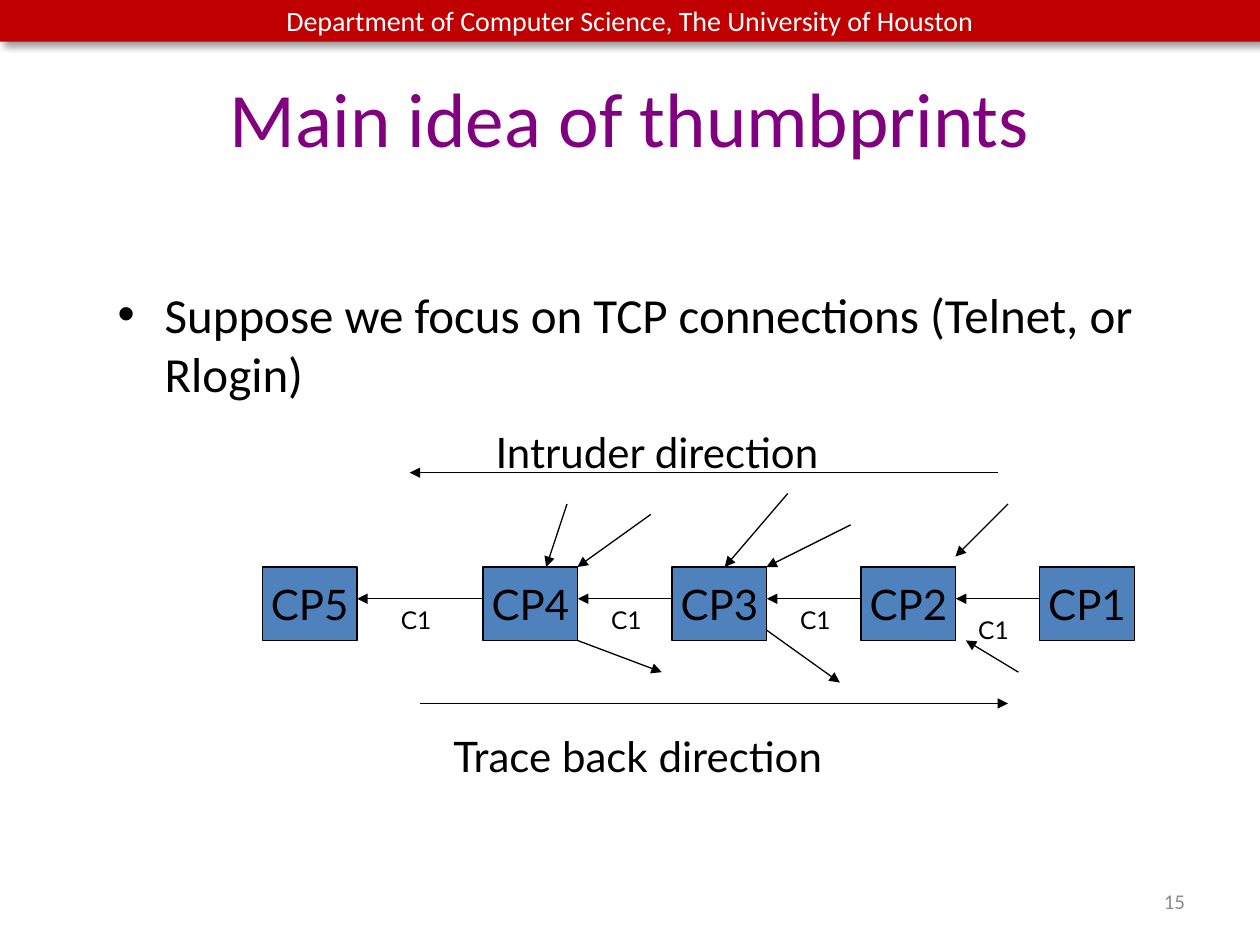
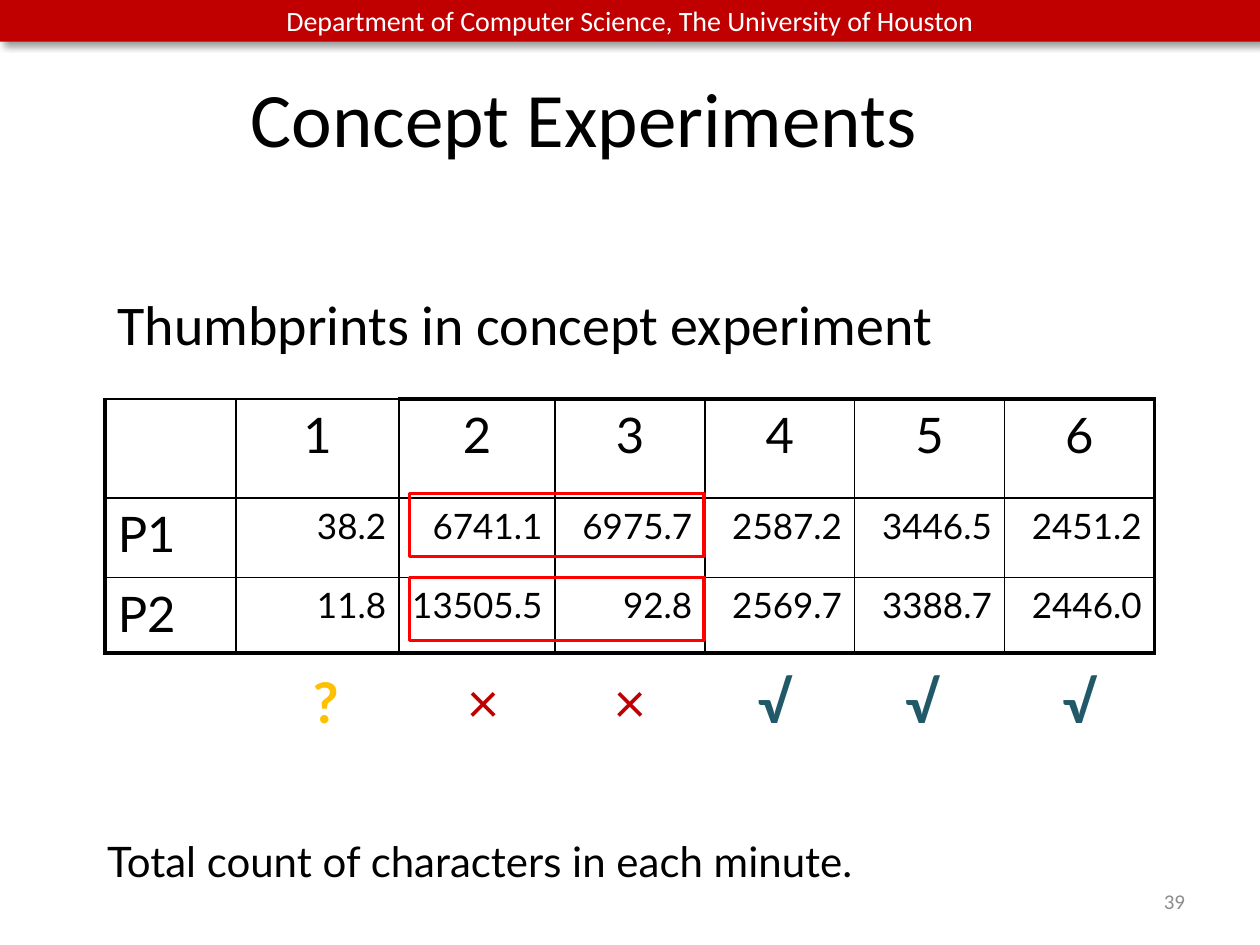
from dataclasses import dataclass
from typing import Optional

from lxml.etree import SubElement
from pptx import Presentation
from pptx.dml.color import RGBColor
from pptx.enum.shapes import MSO_CONNECTOR, MSO_SHAPE
from pptx.enum.text import MSO_ANCHOR, PP_ALIGN
from pptx.oxml.ns import qn
from pptx.shapes.autoshape import Shape
from pptx.slide import Slide
from pptx.table import _Cell as Cell
from pptx.text.text import TextFrame
from pptx.util import Cm, Pt

HUES = {
    "band": "C00000",
    "white": "FFFFFF",
    "black": "000000",
    "purple": "800080",
    "blue": "4F81BD",
    "grey": "8C8C8C",
    "teal": "215968",
    "amber": "FFC000",
    "red": "FF0000",
}
HEAD = "Calibri"
BODY = "Lato"
LEFT, MID, RIGHT = PP_ALIGN.LEFT, PP_ALIGN.CENTER, PP_ALIGN.RIGHT


@dataclass(frozen=True)
class Box:
    left: float
    top: float
    width: float
    height: float


@dataclass(frozen=True)
class Style:
    size: float
    font: str = BODY
    hue: str = "black"
    align: PP_ALIGN = LEFT
    bold: bool = False


@dataclass(frozen=True)
class Arrow:
    x1: float
    y1: float
    x2: float
    y2: float


@dataclass(frozen=True)
class Mark:
    sign: str
    left: float
    style: Style


BAND = Box(0, 0, 25.4, 0.84)
TITLE = Box(1.27, 0.76, 22.86, 3.18)
PAGE = Box(18.21, 17.65, 5.93, 1.02)
LARGE = Style(24)
SMALL = Style(14)

HOSTS = {"CP5": 5.29, "CP4": 9.74, "CP3": 13.55, "CP2": 17.36, "CP1": 20.96}
HOST_TOP, HOST_W, HOST_H = 11.43, 1.91, 1.48
LINK_Y = 12.07
TAGS = [(7.83, 12.07), (12.07, 12.07), (15.88, 12.07), (19.47, 12.28)]
ARROWS = [
    Arrow(20.11, 9.53, 8.26, 9.53),
    Arrow(8.47, 14.18, 20.32, 14.18),
    Arrow(13.12, 10.37, 11.64, 11.43),
    Arrow(11.64, 12.91, 13.34, 13.55),
    Arrow(17.15, 10.58, 15.45, 11.43),
    Arrow(15.88, 9.95, 14.61, 11.43),
    Arrow(15.45, 12.7, 16.93, 13.76),
    Arrow(20.53, 13.55, 19.47, 12.91),
    Arrow(20.32, 10.16, 19.26, 11.22),
    Arrow(11.43, 10.16, 11.01, 11.43),
]

GRID = Box(2.12, 8.04, 21.15, 5.12)
COLS = [2.64, 3.28, 3.15] + [3.02] * 4
ROWS = [2.0, 1.6, 1.52]
COUNTS = [
    ["", "1", "2", "3", "4", "5", "6"],
    ["P1", "38.2", "6741.1", "6975.7", "2587.2", "3446.5", "2451.2"],
    ["P2", "11.8", "13505.5", "92.8", "2569.7", "3388.7", "2446.0"],
]
CHECK = Style(32, hue="teal", bold=True)
CROSS = Style(32, hue="band", align=MID)
MARKS = [
    Mark("?", 5.72, Style(32, hue="amber", align=MID, bold=True)),
    Mark("×", 8.89, CROSS),
    Mark("×", 11.85, CROSS),
    Mark("√", 15.03, CHECK),
    Mark("√", 18, CHECK),
    Mark("√", 21.17, CHECK),
]


def tint(name: str) -> RGBColor:
    return RGBColor.from_string(HUES[name])


def set_text(frame: TextFrame, text: str, style: Style) -> None:
    frame.text = text
    for para in frame.paragraphs:
        para.alignment = style.align
        for run in para.runs:
            run.font.size = Pt(style.size)
            run.font.name = style.font
            run.font.bold = style.bold
            run.font.color.rgb = tint(style.hue)


def add_text(slide: Slide, box: Box, text: str, style: Style,
             anchor: MSO_ANCHOR = MSO_ANCHOR.TOP) -> TextFrame:
    shape = slide.shapes.add_textbox(
        Cm(box.left), Cm(box.top), Cm(box.width), Cm(box.height))
    frame = shape.text_frame
    frame.word_wrap = True
    frame.vertical_anchor = anchor
    set_text(frame, text, style)
    return frame


def add_rect(slide: Slide, box: Box, fill: Optional[str] = None,
             line: Optional[str] = None, weight: float = 0.75) -> Shape:
    rect = slide.shapes.add_shape(
        MSO_SHAPE.RECTANGLE,
        Cm(box.left), Cm(box.top), Cm(box.width), Cm(box.height))
    rect.shadow.inherit = False
    if fill:
        rect.fill.solid()
        rect.fill.fore_color.rgb = tint(fill)
    else:
        rect.fill.background()
    if line:
        rect.line.color.rgb = tint(line)
        rect.line.width = Pt(weight)
    else:
        rect.line.fill.background()
    rect.text_frame.vertical_anchor = MSO_ANCHOR.MIDDLE
    return rect


def add_arrow(slide: Slide, arrow: Arrow) -> None:
    line = slide.shapes.add_connector(
        MSO_CONNECTOR.STRAIGHT,
        Cm(arrow.x1), Cm(arrow.y1), Cm(arrow.x2), Cm(arrow.y2))
    line.line.color.rgb = tint("black")
    line.line.width = Pt(0.75)
    props = line._element.spPr
    SubElement(props.find(qn("a:ln")), qn("a:tailEnd"), type="triangle")
    SubElement(props, qn("a:effectLst"))


def add_shade(shape: Shape) -> None:
    glow = shape._element.spPr.find(qn("a:effectLst"))
    shade = SubElement(glow, qn("a:outerShdw"), blurRad=str(Pt(4)),
                       dist=str(Pt(3)), dir="2700000", algn="tl",
                       rotWithShape="0")
    hue = SubElement(shade, qn("a:srgbClr"), val=HUES["black"])
    SubElement(hue, qn("a:alpha"), val="40000")


def add_bullet(frame: TextFrame) -> None:
    props = frame.paragraphs[0]._p.get_or_add_pPr()
    props.set("marL", str(Cm(0.95)))
    props.set("indent", str(-Cm(0.95)))
    SubElement(props, qn("a:buFont"), typeface="Arial")
    SubElement(props, qn("a:buChar"), char="•")


def set_edge(cell: Cell, row: int, col: int) -> None:
    thick = {
        "L": col == 0,
        "R": col == len(COLS) - 1,
        "T": row == 0 and col > 1,
        "B": row == len(ROWS) - 1,
    }
    props = cell._tc.get_or_add_tcPr()
    for side, heavy in thick.items():
        edge = SubElement(props, qn(f"a:ln{side}"),
                          w=str(Pt(2.25 if heavy else 1)))
        fill = SubElement(edge, qn("a:solidFill"))
        SubElement(fill, qn("a:srgbClr"), val=HUES["black"])


def add_grid(slide: Slide) -> None:
    table = slide.shapes.add_table(
        len(ROWS), len(COLS), Cm(GRID.left), Cm(GRID.top),
        Cm(GRID.width), Cm(GRID.height)).table
    table.first_row = False
    table.horz_banding = False
    for col, width in zip(table.columns, COLS):
        col.width = Cm(width)
    for row, height in zip(table.rows, ROWS):
        row.height = Cm(height)
    for r, row in enumerate(COUNTS):
        for c, text in enumerate(row):
            cell = table.cell(r, c)
            if r == 0:
                style = Style(28, align=MID)
            elif c == 0:
                style = Style(28)
            else:
                style = Style(20, align=RIGHT)
            set_text(cell.text_frame, text, style)
            set_edge(cell, r, c)
            cell.fill.background()


def add_slide(deck, title: str, hue: str, page: int) -> tuple[Slide, TextFrame]:
    slide = deck.slides.add_slide(deck.slide_layouts[6])
    band = add_rect(slide, BAND, "band")
    add_shade(band)
    set_text(band.text_frame,
             "Department of Computer Science, The University of Houston",
             Style(16, HEAD, "white", MID))
    head = add_text(slide, TITLE, title, Style(44, HEAD, hue, MID),
                    MSO_ANCHOR.MIDDLE)
    add_text(slide, PAGE, str(page), Style(12, HEAD, "grey", RIGHT),
             MSO_ANCHOR.MIDDLE)
    return slide, head


def draw_idea(deck) -> None:
    slide, _ = add_slide(deck, "Main idea of thumbprints", "purple", 15)
    point = add_text(slide, Box(2.12, 5.61, 22.75, 2.6),
                     "Suppose we focus on TCP connections (Telnet, or Rlogin)",
                     Style(28, HEAD))
    add_bullet(point)
    for name, left in HOSTS.items():
        host = add_rect(slide, Box(left, HOST_TOP, HOST_W, HOST_H),
                        "blue", "black")
        host.text_frame.word_wrap = False
        set_text(host.text_frame, name, Style(24, align=MID))
    spots = list(HOSTS.values())
    links = [Arrow(start, LINK_Y, end + HOST_W, LINK_Y)
             for end, start in zip(spots, spots[1:])]
    for arrow in links + ARROWS:
        add_arrow(slide, arrow)
    for left, top in TAGS:
        add_text(slide, Box(left, top, 1.27, 0.85), "C1", SMALL)
    add_text(slide, Box(9.74, 8.47, 8.68, 1.27), "Intruder direction", LARGE)
    add_text(slide, Box(8.89, 14.61, 10.58, 1.27), "Trace back direction", LARGE)


def draw_test(deck) -> None:
    slide, head = add_slide(deck, "Concept Experiments", "black", 39)
    head.margin_right = Cm(2.1)
    add_text(slide, Box(2.12, 5.72, 21.59, 2.33),
             "Thumbprints in concept experiment", Style(32, HEAD))
    add_grid(slide)
    add_text(slide, Box(1.91, 16.72, 20.53, 1.27),
             "Total count of characters in each minute.", LARGE)
    for mark in MARKS:
        add_text(slide, Box(mark.left, 13.34, 1.7, 1.63), mark.sign, mark.style)
    for top in (9.95, 11.64):
        add_rect(slide, Box(8.26, top, 5.93, 1.27), line="red", weight=2)


def main() -> None:
    deck = Presentation()
    deck.slide_width, deck.slide_height = Cm(25.4), Cm(19.05)
    draw_idea(deck)
    draw_test(deck)
    deck.save("out.pptx")


if __name__ == "__main__":
    main()
